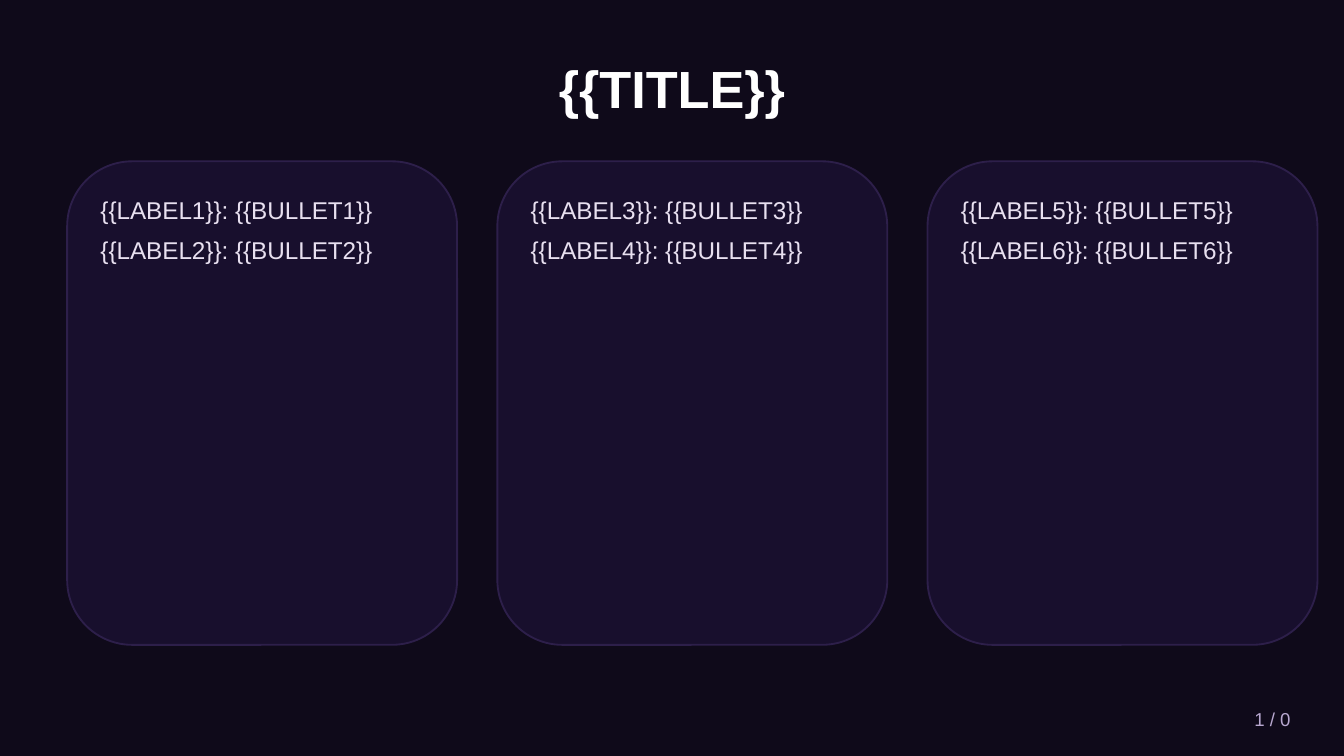
from lxml import etree
from pptx import Presentation
from pptx import util as u
from pptx.dml import color
from pptx.enum import shapes, text
from pptx.oxml import ns


def rgb(value):
    return color.RGBColor.from_string(value)


def write(paragraph, content, size=13, ink="E8E0F0", bold=False, align=text.PP_ALIGN.LEFT, after=0):
    paragraph.alignment = align
    paragraph.space_after = u.Pt(after)
    run = paragraph.add_run()
    run.text = content
    run.font.name = "Arial"
    run.font.size = u.Pt(size)
    run.font.bold = bold
    run.font.color.rgb = rgb(ink)


class Deck:
    """Holds the card style and the current slide."""

    background = "0F0A1A"
    card_fill = "1A1030"
    card_line = "2D1F4A"
    card_opacity = 90

    def __init__(self, presentation):
        self.slide = presentation.slides.add_slide(presentation.slide_layouts[6])
        self.slide.background.fill.solid()
        self.slide.background.fill.fore_color.rgb = rgb(self.background)

    def text_box(self, left, top, width, height, lines, anchor=text.MSO_ANCHOR.TOP, **style):
        shape = self.slide.shapes.add_textbox(u.Cm(left), u.Cm(top), u.Cm(width), u.Cm(height))
        frame = shape.text_frame
        frame.word_wrap = True
        frame.vertical_anchor = anchor
        for index, line in enumerate(lines):
            paragraph = frame.add_paragraph() if index else frame.paragraphs[0]
            write(paragraph, line, **style)

    def card(self, left, top, width, height):
        shape = self.slide.shapes.add_shape(
            shapes.MSO_SHAPE.ROUNDED_RECTANGLE, u.Cm(left), u.Cm(top), u.Cm(width), u.Cm(height))
        shape.shadow.inherit = False
        shape.fill.solid()
        shape.fill.fore_color.rgb = rgb(self.card_fill)
        fill_color = shape._element.spPr.find(ns.qn("a:solidFill")).find(ns.qn("a:srgbClr"))
        etree.SubElement(fill_color, ns.qn("a:alpha"), val=str(self.card_opacity * 1000))
        shape.line.color.rgb = rgb(self.card_line)
        shape.line.width = u.Pt(1)


def main():
    presentation = Presentation()
    presentation.slide_width = u.Cm(25.4)
    presentation.slide_height = u.Cm(14.29)
    deck = Deck(presentation)
    middle = text.MSO_ANCHOR.MIDDLE

    deck.text_box(1.27, 0.76, 22.86, 1.78, ["{{TITLE}}"], anchor=middle,
                  size=28, ink="FFFFFF", bold=True, align=text.PP_ALIGN.CENTER)
    for column in range(3):
        left = 1.27 + column * 8.13
        first = 2 * column + 1
        lines = [f"{{{{LABEL{n}}}}}: {{{{BULLET{n}}}}}" for n in (first, first + 1)]
        deck.card(left, 3.05, 7.37, 9.14)
        deck.text_box(left + 0.38, 3.56, 6.6, 8.13, lines, after=6)
    deck.text_box(21.59, 13.21, 3.05, 0.76, ["1 / 0"], anchor=middle,
                  size=10, ink="B8A8D0", align=text.PP_ALIGN.RIGHT)

    presentation.save("out.pptx")


if __name__ == "__main__":
    main()
